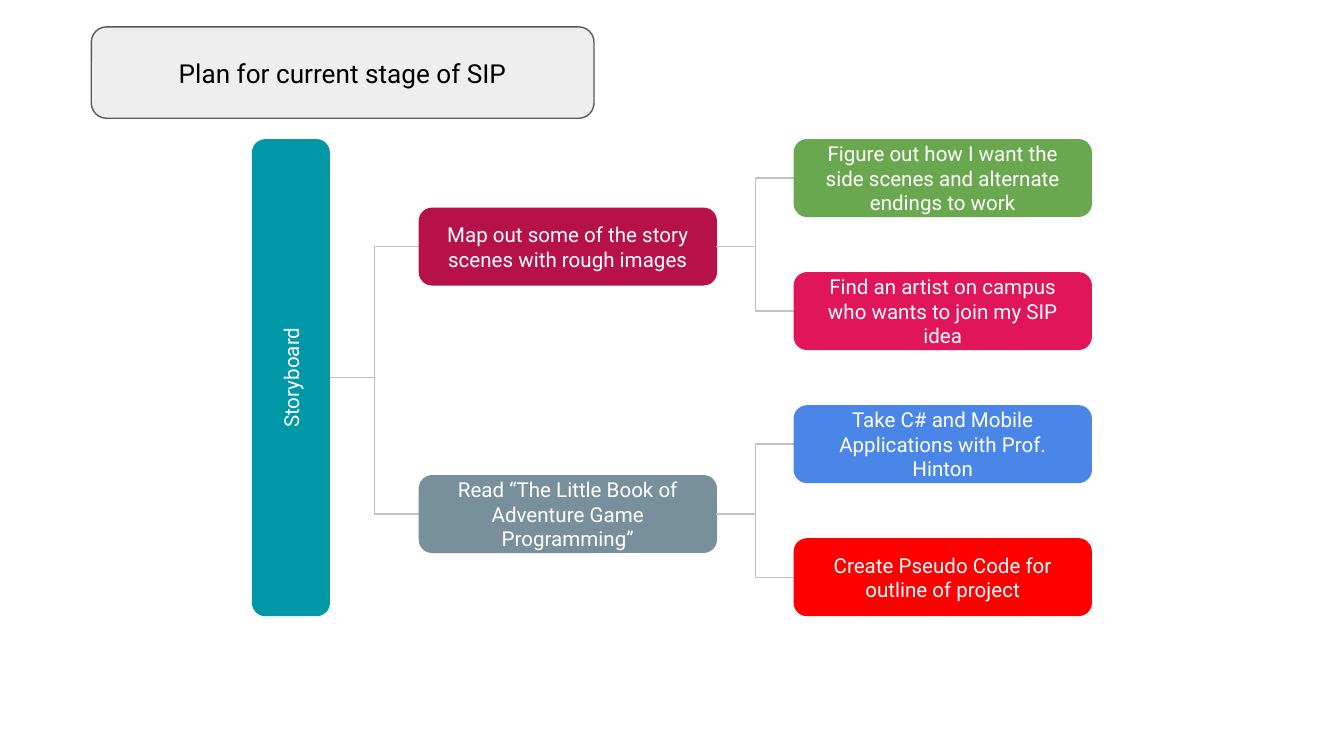
from pptx import Presentation
from pptx.dml.color import RGBColor
from pptx.enum.shapes import MSO_CONNECTOR, MSO_SHAPE
from pptx.enum.text import MSO_ANCHOR, PP_ALIGN
from pptx.oxml.ns import qn
from pptx.util import Inches, Pt
from lxml.etree import SubElement

WHITE = RGBColor(0xFF, 0xFF, 0xFF)
BLACK = RGBColor(0x00, 0x00, 0x00)
PALE_GRAY = RGBColor(0xEE, 0xEE, 0xEE)
DARK_GRAY = RGBColor(0x59, 0x59, 0x59)
LINE_GRAY = RGBColor(0xC2, 0xC2, 0xC2)
TEAL = RGBColor(0x00, 0x97, 0xA7)
CRIMSON = RGBColor(0xB6, 0x12, 0x49)
SLATE = RGBColor(0x78, 0x90, 0x9C)
GREEN = RGBColor(0x6A, 0xA8, 0x4F)
PINK = RGBColor(0xE1, 0x16, 0x5A)
BLUE = RGBColor(0x4A, 0x86, 0xE8)
RED = RGBColor(0xFF, 0x00, 0x00)

FONT = "Roboto"
NODE_W, NODE_H = 2.21, 0.57
BRANCH_X, BRANCH_Y, BRANCH_STEP = 1.24, 0.51, 1.99

BRANCHES = [
    ("Map out some of the story scenes with rough images", CRIMSON, [
        ("Figure out how I want the side scenes and alternate endings to work", GREEN),
        ("Find an artist on campus who wants to join my SIP idea", PINK),
    ]),
    ("Read “The Little Book of Adventure Game Programming”", SLATE, [
        ("Take C# and Mobile Applications with Prof. Hinton", BLUE),
        ("Create Pseudo Code for outline of project", RED),
    ]),
]


def add_box(slide, x, y, w, h, text, fill, line=None, color=WHITE, size=11, rotation=0):
    """Add a rounded box with centred text."""
    s = slide.shapes.add_shape(MSO_SHAPE.ROUNDED_RECTANGLE,
                               Inches(x), Inches(y), Inches(w), Inches(h))
    s.rotation = rotation
    s.shadow.inherit = False
    s.fill.solid()
    s.fill.fore_color.rgb = fill
    s.line.color.rgb = line or fill
    s.line.width = Pt(0.75)
    tf = s.text_frame
    tf.text = text
    tf.word_wrap = True
    tf.vertical_anchor = MSO_ANCHOR.MIDDLE
    tf.margin_left = tf.margin_right = tf.margin_top = tf.margin_bottom = Inches(0.1)
    p = tf.paragraphs[0]
    p.alignment = PP_ALIGN.CENTER
    font = p.runs[0].font
    font.name, font.size, font.color.rgb = FONT, Pt(size), color


def add_elbow(slide, x1, y1, x2, y2):
    """Join two points with a thin elbow connector."""
    c = slide.shapes.add_connector(MSO_CONNECTOR.ELBOW,
                                   Inches(x1), Inches(y1), Inches(x2), Inches(y2))
    c.line.color.rgb = LINE_GRAY
    c.line.width = Pt(0.75)
    SubElement(c._element.spPr, qn("a:effectLst"))


def add_title(slide, x, y, w, h):
    """Add the title box."""
    add_box(slide, x, y, w, h, "Plan for current stage of SIP",
            PALE_GRAY, DARK_GRAY, BLACK, 14)


def add_tree(slide, x, y, w, h):
    """Add the horizontal tree with an upright root, branches and leaves."""
    half = NODE_H / 2
    branch_x, leaf_x = x + BRANCH_X, x + w - NODE_W
    leaf_step = (h - NODE_H) / 3
    for i, (text, fill, leaves) in enumerate(BRANCHES):
        branch_y = y + BRANCH_Y + i * BRANCH_STEP
        add_elbow(slide, x + NODE_H, y + h / 2, branch_x, branch_y + half)
        add_box(slide, branch_x, branch_y, NODE_W, NODE_H, text, fill)
        for j, (leaf_text, leaf_fill) in enumerate(leaves):
            leaf_y = y + (2 * i + j) * leaf_step
            add_elbow(slide, branch_x + NODE_W, branch_y + half, leaf_x, leaf_y + half)
            add_box(slide, leaf_x, leaf_y, NODE_W, NODE_H, leaf_text, leaf_fill)
    add_box(slide, x + half - h / 2, y + h / 2 - half, h, NODE_H,
            "Storyboard", TEAL, rotation=270)


def main():
    """Build and save the slide."""
    prs = Presentation()
    prs.slide_width = Inches(10)
    prs.slide_height = prs.slide_width * 9 // 16
    slide = prs.slides.add_slide(prs.slide_layouts[6])
    add_tree(slide, 1.88, 1.04, 6.24, 3.54)
    add_title(slide, 0.68, 0.2, 3.74, 0.68)
    prs.save("out.pptx")


if __name__ == "__main__":
    main()
